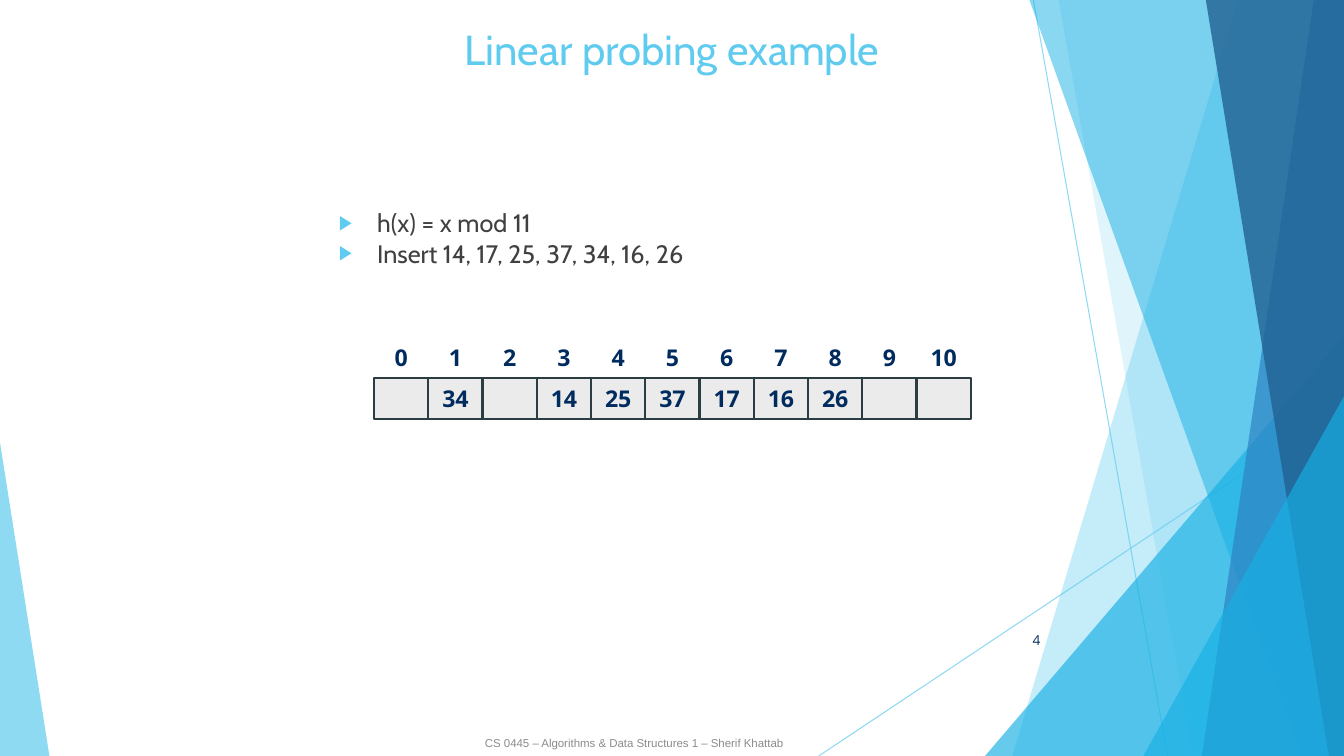
from lxml import etree
from pptx import Presentation
from pptx.dml.color import RGBColor
from pptx.enum.shapes import MSO_CONNECTOR, MSO_SHAPE
from pptx.enum.text import MSO_ANCHOR, MSO_AUTO_SIZE, PP_ALIGN
from pptx.oxml.ns import qn
from pptx.util import Inches, Pt

RECT, TRIANGLE = MSO_SHAPE.RECTANGLE, MSO_SHAPE.ISOSCELES_TRIANGLE
STRAIGHT = MSO_CONNECTOR.STRAIGHT
LEFT, CENTER, RIGHT = PP_ALIGN.LEFT, PP_ALIGN.CENTER, PP_ALIGN.RIGHT
TOP, MIDDLE, BOTTOM = MSO_ANCHOR.TOP, MSO_ANCHOR.MIDDLE, MSO_ANCHOR.BOTTOM

COLORS = {
    "sky": "5FCBEF", "cyan": "17B0E4", "blue": "2E83C3", "deep": "226292",
    "cell": "EBEBEB", "edge": "2C3C43", "navy": "002B5E",
    "body": "404040", "foot": "8C8C8C",
}
WIDTH, HEIGHT = 13.33, 7.5
PAD = 0.07

# Hash table: slot number -> stored key
SLOTS = 11
KEYS = {1: 34, 3: 14, 4: 25, 5: 37, 6: 17, 7: 16, 8: 26}
TABLE_X, INDEX_Y, CELL_Y = 3.71, 3.34, 3.75
PITCH, CELL_H = 0.538, 0.41

# Right-hand bands: top x, bottom x, colour, opacity
BANDS = [
    (12.28, 10.04, "sky", 36), (10.5, 11.83, "sky", 20),
    (10.21, 12.91, "cyan", 50), (13.03, 11.92, "blue", 70),
    (11.96, 13.18, "deep", 80),
]


def rgb(name):
    return RGBColor.from_string(COLORS[name])


def fade(shape, percent):
    """Set the opacity of the shape's only colour."""
    color = next(shape.element.spPr.iter(qn("a:srgbClr")))
    etree.SubElement(color, qn("a:alpha")).set("val", str(percent * 1000))


def paint(shape, color, opacity):
    shape.shadow.inherit = False
    shape.fill.solid()
    shape.fill.fore_color.rgb = rgb(color)
    shape.line.fill.background()
    fade(shape, opacity)


def add_band(slide, top, bottom, color, opacity):
    points = [(WIDTH, 0), (WIDTH, HEIGHT), (bottom, HEIGHT)]
    outline = slide.shapes.build_freeform(Inches(top), 0)
    outline.add_line_segments([(Inches(x), Inches(y)) for x, y in points])
    paint(outline.convert_to_shape(), color, opacity)


def add_wedge(slide, box, peak, color, opacity):
    wedge = slide.shapes.add_shape(TRIANGLE, *map(Inches, box))
    wedge.adjustments[0] = peak
    paint(wedge, color, opacity)


def add_ray(slide, *ends):
    ray = slide.shapes.add_connector(STRAIGHT, *map(Inches, ends))
    ray.line.color.rgb = rgb("sky")
    ray.line.width = Pt(0.75)
    fade(ray, 70)
    etree.SubElement(ray.element.spPr, qn("a:effectLst"))


def set_frame(shape, anchor, pad_x=PAD, pad_y=PAD):
    frame = shape.text_frame
    frame.word_wrap = True
    frame.auto_size = MSO_AUTO_SIZE.NONE
    frame.vertical_anchor = anchor
    frame.margin_left = frame.margin_right = Inches(pad_x)
    frame.margin_top = frame.margin_bottom = Inches(pad_y)
    return frame


def write(para, text, size, font, color, align, bold=False):
    para.alignment = align
    run = para.add_run()
    run.text = text
    run.font.size = Pt(size)
    run.font.name = font
    run.font.bold = bold
    run.font.color.rgb = rgb(color)


def add_text(slide, box, *style, anchor=MIDDLE, pads=(PAD, PAD)):
    label = slide.shapes.add_textbox(*map(Inches, box))
    write(set_frame(label, anchor, *pads).paragraphs[0], *style)


def add_bullet(para):
    props = para._p.get_or_add_pPr()
    props.set("marL", str(Inches(0.38)))
    props.set("indent", str(-Inches(0.38)))
    color = etree.SubElement(props, qn("a:buClr"))
    etree.SubElement(color, qn("a:srgbClr")).set("val", COLORS["sky"])
    etree.SubElement(props, qn("a:buSzPct")).set("val", "80000")
    etree.SubElement(props, qn("a:buFont")).set("typeface", "Arial")
    etree.SubElement(props, qn("a:buChar")).set("char", "▶")


def add_list(slide, box, items):
    frame = set_frame(slide.shapes.add_textbox(*map(Inches, box)), TOP)
    for i, item in enumerate(items):
        para = frame.add_paragraph() if i else frame.paragraphs[0]
        add_bullet(para)
        write(para, item, 18, "Cabin", "body", LEFT)


def add_slot(slide, index):
    x = TABLE_X + index * PITCH
    style = (16.5, "Open Sans", "navy", CENTER, True)
    add_text(slide, (x, INDEX_Y, PITCH, CELL_H), str(index), *style)
    box = (x, CELL_Y, PITCH, CELL_H)
    cell = slide.shapes.add_shape(RECT, *map(Inches, box))
    cell.shadow.inherit = False
    cell.fill.solid()
    cell.fill.fore_color.rgb = rgb("cell")
    cell.line.color.rgb = rgb("edge")
    cell.line.width = Pt(1.5)
    if index in KEYS:
        para = set_frame(cell, MIDDLE).paragraphs[0]
        write(para, str(KEYS[index]), *style)


def set_title(slide, box, text):
    title = slide.shapes.title
    title.left, title.top, title.width, title.height = map(Inches, box)
    para = set_frame(title, BOTTOM).paragraphs[0]
    write(para, text, 29.9, "Cabin", "sky", CENTER)


def add_decor(slide):
    add_ray(slide, 10.25, 0, 11.58, HEIGHT)
    add_ray(slide, WIDTH, 4.03, 8.12, HEIGHT)
    for band in BANDS[:2]:
        add_band(slide, *band)
    add_wedge(slide, (9.77, 3.33, 3.56, 4.17), 1, "cyan", 66)
    for band in BANDS[2:]:
        add_band(slide, *band)
    add_wedge(slide, (11.34, 3.93, 1.99, 3.57), 1, "cyan", 66)
    add_wedge(slide, (0, 4.39, 0.49, 3.11), 0, "sky", 70)


def main():
    deck = Presentation()
    deck.slide_width, deck.slide_height = Inches(WIDTH), Inches(HEIGHT)
    slide = deck.slides.add_slide(deck.slide_layouts[5])

    # Background facets
    add_decor(slide)

    # Title and bullets
    set_title(slide, (3.29, 0.3, 6.75, 0.5), "Linear probing example")
    add_list(slide, (3.29, 1.99, 6.75, 0.84),
             ["h(x) = x mod 11", "Insert 14, 17, 25, 37, 34, 16, 26"])

    # Hash table
    for index in range(SLOTS):
        add_slot(slide, index)

    # Page number and footer
    add_text(slide, (9.94, 6.13, 0.45, 0.43),
             "4", 9.8, "Open Sans", "navy", RIGHT)
    add_text(slide, (3.25, 7.17, 6.08, 0.4),
             "CS 0445 – Algorithms & Data Structures 1 – Sherif Khattab",
             8.2, "Arial", "foot", CENTER, pads=(0.1, 0.05))

    deck.save("out.pptx")


if __name__ == "__main__":
    main()
